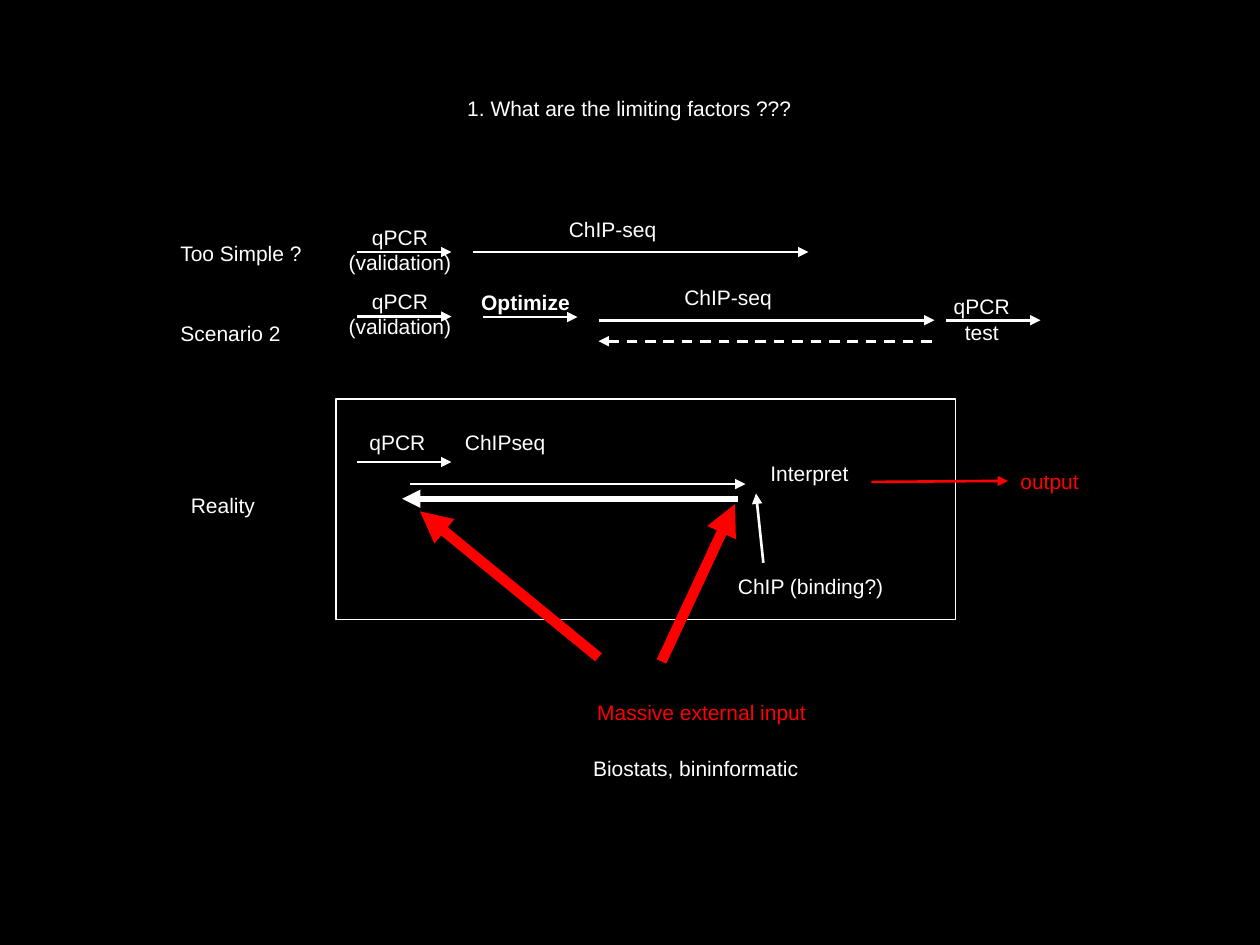
import pptx
import pptx.util
import pptx.dml.color
import pptx.enum.dml
import pptx.enum.shapes
import pptx.enum.text
from lxml import etree

COLORS = {"ground": "000000", "ink": "FFFFFF", "alert": "FF0000"}
WIDTH, HEIGHT = 10, 7.5
COLUMNS, ROWS = 120, 90
LINE_ROWS, PADDING_ROWS = 2.4, 1.2
SHORT, LONG = 9, 32
FONT = {"name": "Arial", "size": pptx.util.Pt(12), "bold": False}
ALIGN = {"left": pptx.enum.text.PP_ALIGN.LEFT, "center": pptx.enum.text.PP_ALIGN.CENTER}

HEADING = ("1. What are the limiting factors ???", 43.3, 8.5, 33.6, {})
LABELS = [
    ("Too Simple ?", 16, 22.3, 14.2, {}),
    ("qPCR\n(validation)", 32, 20.8, 12.2, {"align": "center"}),
    ("ChIP-seq", 53, 20, 10.8, {}),
    ("Scenario 2", 16, 29.9, 12.1, {}),
    ("qPCR\n(validation)", 32, 26.9, 12.2, {"align": "center"}),
    ("Optimize", 44.6, 27, 10.9, {"align": "center", "bold": True}),
    ("ChIP-seq", 64, 26.5, 10.8, {}),
    ("qPCR\ntest", 89, 27.4, 9, {"align": "center", "wrap": True}),
    ("Reality", 17, 46.3, 8.6, {}),
    ("qPCR", 34, 40.3, 7.8, {}),
    ("ChIPseq", 43.1, 40.3, 10.2, {}),
    ("Interpret", 72.1, 43.3, 10, {"align": "center"}),
    ("ChIP (binding?)", 69.1, 54, 16.4, {}),
    ("output", 96, 44, 8, {"color": "alert"}),
    ("Massive external input", 55.7, 66, 22.6, {"color": "alert"}),
    ("Biostats, bininformatic", 55.3, 71.4, 22.2, {}),
]
REALITY_FRAME = (32, 38, 59, 21)
STEPS = [
    (34, 24, SHORT, {}),
    (45, 24, LONG, {}),
    (34, 30.15, SHORT, {}),
    (46, 30.2, SHORT, {}),
    (57, 30.5, LONG, {}),
    (57, 32.5, LONG, {"tip": "headEnd", "dashed": True}),
    (90.1, 30.5, SHORT, {}),
    (34, 44, SHORT, {}),
    (39, 46.1, LONG, {}),
    (38.3, 47.5, LONG, {"tip": "headEnd", "weight": 3.5}),
]
INPUTS = [
    (72.7, 53.6, 72, 47, {}),
    (63, 63, 70, 48, {"color": "alert", "weight": 6}),
    (57, 62.6, 40, 48.7, {"color": "alert", "weight": 6}),
]
OUTPUT_ARROW = (83, 45.9, 96, 45.9, {"color": "alert"})


def x(columns):
    return pptx.util.Inches(columns * WIDTH / COLUMNS)


def y(rows):
    return pptx.util.Inches(rows * HEIGHT / ROWS)


def rgb(name):
    return pptx.dml.color.RGBColor.from_string(COLORS[name])


def apply(target, values):
    for attribute, value in values.items():
        setattr(target, attribute, value)


def write(holder, text, column, row, width, style):
    lines = text.split("\n")
    apply(holder, {"left": x(column), "top": y(row), "width": x(width),
                   "height": y(PADDING_ROWS + LINE_ROWS * len(lines))})
    frame = holder.text_frame
    frame.text = text
    apply(frame, {"word_wrap": style.get("wrap", False),
                  "auto_size": pptx.enum.text.MSO_AUTO_SIZE.NONE,
                  "vertical_anchor": pptx.enum.text.MSO_ANCHOR.TOP})
    for paragraph in frame.paragraphs:
        apply(paragraph, {"alignment": ALIGN[style.get("align", "left")],
                          "line_spacing": 1.0, "space_before": pptx.util.Pt(0)})
        apply(paragraph.font, {**FONT, "bold": style.get("bold", False)})
        paragraph.font.color.rgb = rgb(style.get("color", "ink"))


def draw_arrow(slide, column, row, end_column, end_row, style):
    arrow = slide.shapes.add_connector(
        pptx.enum.shapes.MSO_CONNECTOR.STRAIGHT,
        x(column), y(row), x(end_column), y(end_row))
    arrow.line.color.rgb = rgb(style.get("color", "ink"))
    arrow.line.width = pptx.util.Pt(style.get("weight", 1.5))
    if style.get("dashed"):
        arrow.line.dash_style = pptx.enum.dml.MSO_LINE.DASH
    properties = arrow.element.spPr
    namespace = properties.nsmap["a"]
    tip = etree.SubElement(arrow.line._get_or_add_ln(),
                           f"{{{namespace}}}{style.get('tip', 'tailEnd')}")
    tip.set("type", "triangle")
    etree.SubElement(properties, f"{{{namespace}}}effectLst")
    return arrow


def main():
    deck = pptx.Presentation()
    apply(deck, {"slide_width": x(COLUMNS), "slide_height": y(ROWS)})
    slide = deck.slides.add_slide(deck.slide_layouts[5])
    slide.background.fill.solid()
    slide.background.fill.fore_color.rgb = rgb("ground")
    write(slide.shapes.title, *HEADING)

    left, top, width, height = REALITY_FRAME
    frame = slide.shapes.add_shape(
        pptx.enum.shapes.MSO_SHAPE.FLOWCHART_PROCESS, x(left), y(top), x(width), y(height))
    frame.shadow.inherit = False
    frame.fill.background()
    frame.line.color.rgb = rgb("ink")
    frame.line.width = pptx.util.Pt(0.75)

    labels = {}
    for label in LABELS:
        holder = slide.shapes.add_textbox(0, 0, x(1), y(1))
        write(holder, *label)
        labels[label[0]] = holder

    for column, row, length, style in STEPS:
        draw_arrow(slide, column, row, column + length, row, style)
    for arrow in INPUTS:
        draw_arrow(slide, *arrow)
    draw_arrow(slide, *OUTPUT_ARROW).end_connect(labels["output"], 1)

    deck.save("out.pptx")


if __name__ == "__main__":
    main()
